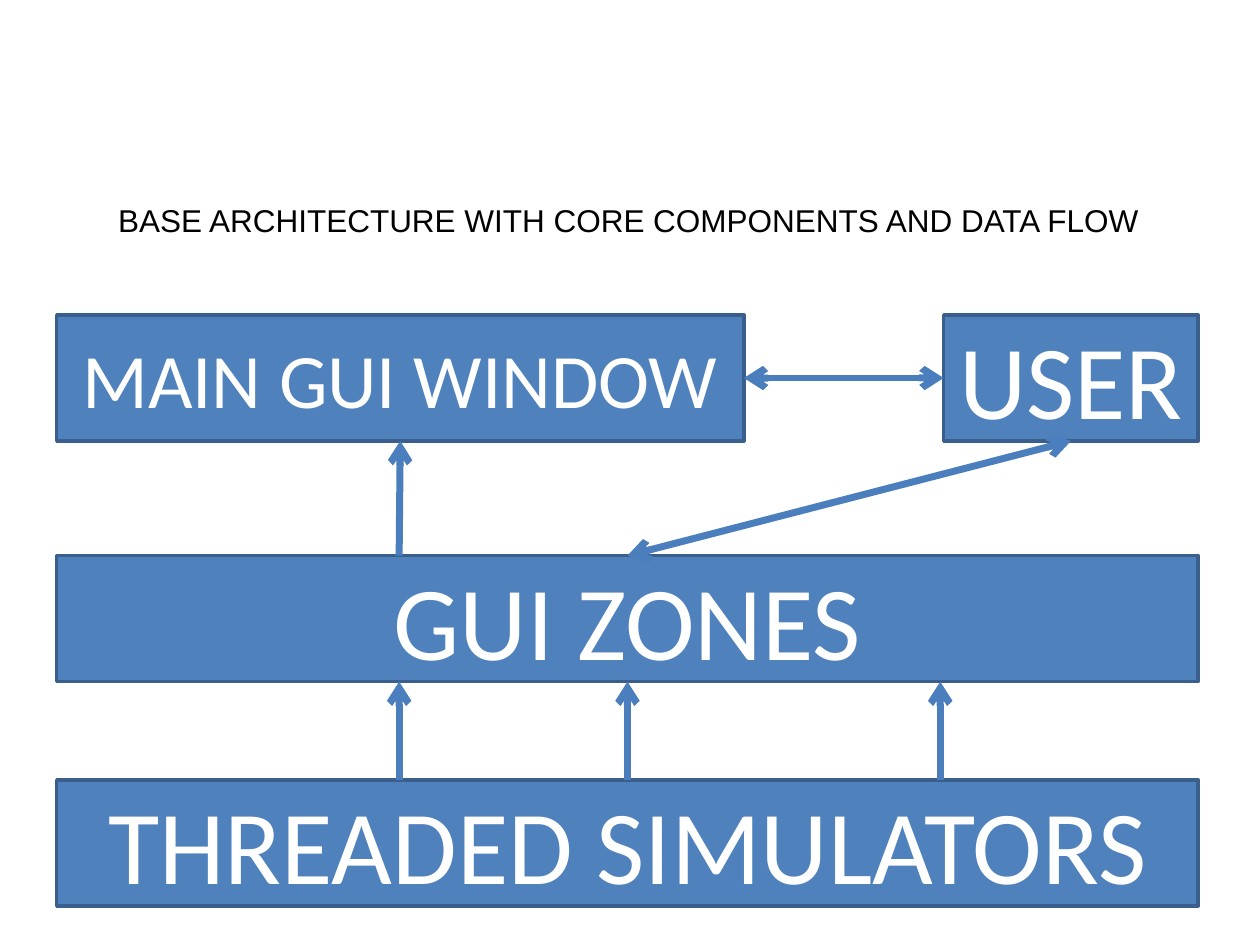
from dataclasses import dataclass

from lxml import etree
from pptx import Presentation
from pptx import util as u
from pptx.dml.color import RGBColor
from pptx.enum import shapes, text
from pptx.oxml import ns


@dataclass(frozen=True)
class Theme:
    """Colours, fonts, type sizes and line widths."""
    fill: str = "4F81BD"
    border: str = "3A5F8C"
    arrow: str = "4B7EBC"
    light: str = "FFFFFF"
    dark: str = "000000"
    block_font: str = "Calibri"
    caption_font: str = "Arial"
    large: int = 60
    medium: int = 44
    small: int = 18
    border_width: int = 2
    arrow_width: int = 4


@dataclass(frozen=True)
class Box:
    """A region in inches."""
    left: float
    top: float
    width: float
    height: float

    def point(self, across, down):
        """Return the point at the given shares of the region."""
        return self.left + across * self.width, self.top + down * self.height

    def inches(self):
        """Return the region as lengths."""
        return [u.Inches(n) for n in (self.left, self.top, self.width, self.height)]


THEME = Theme()


def write(shape, words, size, font, colour):
    """Put one centred paragraph in a shape."""
    para = shape.text_frame.paragraphs[0]
    para.text = words
    para.alignment = text.PP_ALIGN.CENTER
    para.font.size = u.Pt(size)
    para.font.name = font
    para.font.color.rgb = RGBColor.from_string(colour)


def add_caption(page, box, words):
    """Add the caption above the diagram."""
    caption = page.shapes.add_textbox(*box.inches())
    caption.text_frame.word_wrap = True
    caption.text_frame.auto_size = text.MSO_AUTO_SIZE.SHAPE_TO_FIT_TEXT
    write(caption, words, THEME.small, THEME.caption_font, THEME.dark)


def add_block(page, box, words, size=THEME.large):
    """Add one component and return its region."""
    block = page.shapes.add_shape(shapes.MSO_SHAPE.RECTANGLE, *box.inches())
    block.shadow.inherit = False
    block.fill.solid()
    block.fill.fore_color.rgb = RGBColor.from_string(THEME.fill)
    block.line.color.rgb = RGBColor.from_string(THEME.border)
    block.line.width = u.Pt(THEME.border_width)
    block.text_frame.word_wrap = True
    block.text_frame.vertical_anchor = text.MSO_ANCHOR.MIDDLE
    write(block, words, size, THEME.block_font, THEME.light)
    return box


def add_arrow(page, start, end, both=False):
    """Add a data flow arrow, pointing one way or both ways."""
    ends = [u.Inches(n) for n in (*start, *end)]
    arrow = page.shapes.add_connector(shapes.MSO_CONNECTOR.STRAIGHT, *ends)
    arrow.line.color.rgb = RGBColor.from_string(THEME.arrow)
    arrow.line.width = u.Pt(THEME.arrow_width)
    outline = arrow.line._get_or_add_ln()
    for tag in ("a:headEnd", "a:tailEnd") if both else ("a:tailEnd",):
        etree.SubElement(outline, ns.qn(tag), type="arrow")
    etree.SubElement(arrow._element.spPr, ns.qn("a:effectLst"))


def add_diagram(page, box):
    """Add the three layers, the user and the flows between them."""
    row = 1
    simulators = add_block(page, Box(box.left, box.top + 3.69, box.width, row), "THREADED SIMULATORS")
    zones = add_block(page, Box(box.left, box.top + 1.91, box.width, row), "GUI ZONES")
    window = add_block(page, Box(box.left, box.top, 0.602 * box.width, row), "MAIN GUI WINDOW", THEME.medium)
    user_width = 0.223 * box.width
    user = add_block(page, Box(box.left + box.width - user_width, box.top, user_width, row), "USER")

    add_arrow(page, window.point(1, 0.5), user.point(0, 0.5), both=True)
    add_arrow(page, zones.point(0.5, 0), user.point(0.5, 1), both=True)
    add_arrow(page, zones.point(0.3, 0), window.point(0.5, 1))
    for share in (0.3, 0.5, 0.774):
        add_arrow(page, simulators.point(share, 0), zones.point(share, 1))


def build():
    """Build and save the deck."""
    deck = Presentation()
    deck.slide_width, deck.slide_height = u.Inches(10), u.Inches(7.5)
    page = deck.slides.add_slide(deck.slide_layouts[6])
    add_diagram(page, Box(0.45, 2.5, 9.06, 4.69))
    add_caption(page, Box(0.46, 1.55, 9.06, 0.4), "BASE ARCHITECTURE WITH CORE COMPONENTS AND DATA FLOW")
    deck.save("out.pptx")


build()
